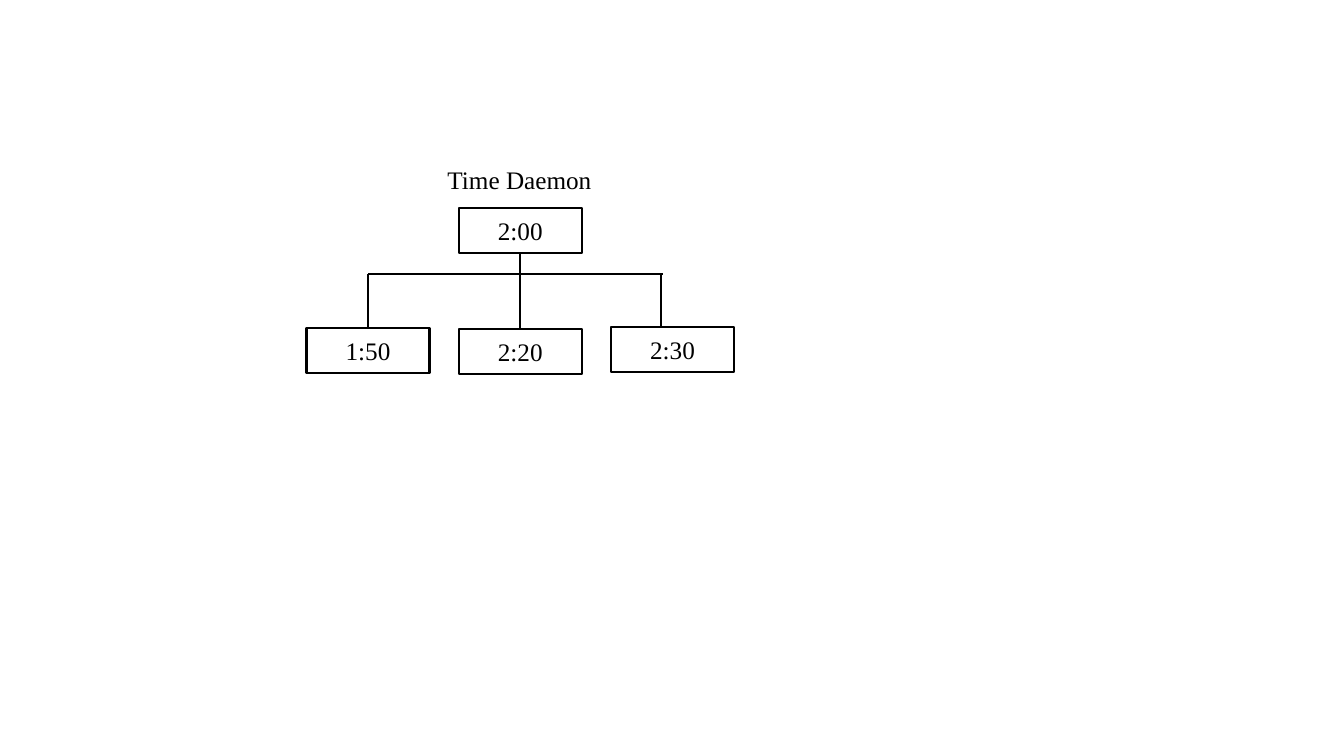
from lxml import etree
from pptx import Presentation
from pptx.dml.color import RGBColor
from pptx.enum.shapes import MSO_CONNECTOR as CONN, MSO_SHAPE as SHAPE
from pptx.enum.text import MSO_ANCHOR as ANCHOR, MSO_AUTO_SIZE as AUTO, PP_ALIGN as ALIGN
from pptx.oxml.ns import qn
from pptx.util import Inches, Pt

COLORS = {"ink": "000000", "paper": "FFFFFF"}
FONT = {"name": "Times New Roman", "size": Pt(18)}
BOX_W, BOX_H = 1.22, 0.45
PITCH = 1.51
CLOCKS = [("1:50", 1.67), ("2:20", 1.68), ("2:30", 1.66)]


def color(key):
    """Return the named colour."""
    return RGBColor.from_string(COLORS[key])


def write(sp, text, align):
    """Put one formatted paragraph into a shape."""
    p = sp.text_frame.paragraphs[0]
    p.alignment = align
    r = p.add_run()
    r.text = text
    for name, value in FONT.items():
        setattr(r.font, name, value)
    r.font.color.rgb = color("ink")


def add_clock(s, text, x, y):
    """Draw an outlined box showing a time."""
    sp = s.shapes.add_shape(SHAPE.RECTANGLE, Inches(x), Inches(y), Inches(BOX_W), Inches(BOX_H))
    sp.shadow.inherit = False
    sp.fill.solid()
    sp.fill.fore_color.rgb = color("paper")
    sp.line.color.rgb = color("ink")
    sp.line.width = Pt(1.5)
    sp.text_frame.vertical_anchor = ANCHOR.MIDDLE
    write(sp, text, ALIGN.CENTER)
    return sp


def add_line(s, x1, y1, x2, y2):
    """Draw a plain straight connector."""
    line = s.shapes.add_connector(CONN.STRAIGHT, *map(Inches, (x1, y1, x2, y2)))
    line.line.color.rgb = color("ink")
    line.line.width = Pt(1.5)
    etree.SubElement(line._element.spPr, qn("a:effectLst"))
    return line


def add_label(s, text, x, y, w, h):
    """Place the caption above the daemon's clock."""
    sp = s.shapes.add_textbox(Inches(x), Inches(y), Inches(w), Inches(h))
    sp.fill.solid()
    sp.fill.fore_color.rgb = color("paper")
    sp.text_frame.word_wrap = False
    sp.text_frame.auto_size = AUTO.SHAPE_TO_FIT_TEXT
    write(sp, text, ALIGN.LEFT)


def add_time_tree(s, x, y):
    """Draw the time daemon linked to its three client clocks."""
    daemon = add_clock(s, "2:00", x + PITCH, y + 0.48)
    clients = [add_clock(s, text, x + i * PITCH, y + dy) for i, (text, dy) in enumerate(CLOCKS)]
    center = x + PITCH + BOX_W / 2
    bus_y = y + 1.14
    add_line(s, x + 0.61, bus_y, x + 3.54, bus_y)
    add_line(s, center, y + 0.93, center, bus_y).begin_connect(daemon, 2)
    for client, drop_x in zip(clients[:2], (x + BOX_W / 2, center)):
        add_line(s, drop_x, bus_y, drop_x, y + 1.67).end_connect(client, 0)
    add_line(s, x + 3.52, bus_y, x + 3.52, y + 1.66)
    add_label(s, "Time Daemon", x + 1.3, y, 1.64, 0.4)


def main():
    """Build and save the slide."""
    prs = Presentation()
    prs.slide_width, prs.slide_height = Inches(13.33), Inches(7.5)
    s = prs.slides.add_slide(prs.slide_layouts[6])
    add_time_tree(s, 3.04, 1.58)
    prs.save("out.pptx")


if __name__ == "__main__":
    main()
